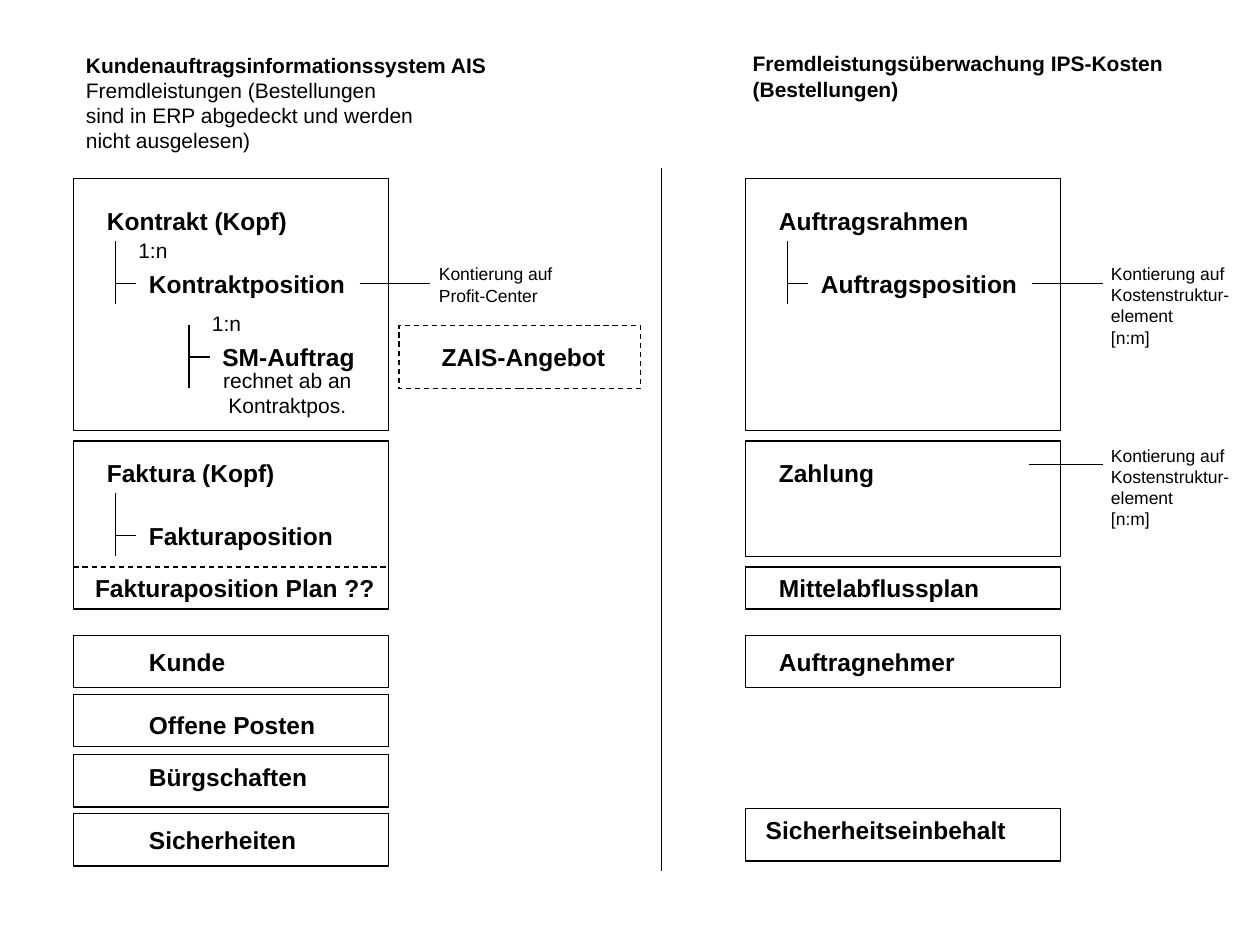
from dataclasses import dataclass

from pptx import Presentation
from pptx.dml.color import RGBColor
from pptx.enum.dml import MSO_LINE_DASH_STYLE as Dash
from pptx.enum.shapes import MSO_CONNECTOR as Connector, MSO_SHAPE as Shape
from pptx.enum.text import MSO_AUTO_SIZE as AutoSize, PP_ALIGN as Align
from pptx.oxml.ns import qn
from pptx.util import Emu, Pt
from lxml.etree import SubElement


@dataclass(frozen=True)
class Theme:
    font: str = "Arial"
    ink: RGBColor = RGBColor(0, 0, 0)
    paper: RGBColor = RGBColor(255, 255, 255)
    label: int = 14
    body: int = 12
    note: int = 10
    line: float = 0.75


theme = Theme()
PX = 914400 // 96
LEFT, RIGHT = 56, 568
FRAME_WIDTH, LABEL_HEIGHT = 240, 32

deck = Presentation()
deck.slide_width, deck.slide_height = Emu(960 * PX), Emu(720 * PX)
page = deck.slides.add_slide(deck.slide_layouts[6])


def add_text(left, top, width, height, paragraphs, size, bold=False, align=Align.LEFT):
    """Each paragraph is a list of lines; bold may be given per paragraph."""
    box = page.shapes.add_textbox(*(Emu(n * PX) for n in (left, top, width, height)))
    frame = box.text_frame
    frame.word_wrap = False
    frame.auto_size = AutoSize.SHAPE_TO_FIT_TEXT
    for index, lines in enumerate(paragraphs):
        para = frame.add_paragraph() if index else frame.paragraphs[0]
        para.alignment = align
        for number, line in enumerate(lines):
            if number:
                para.add_line_break()
            span = para.add_run()
            span.text = line
            span.font.name, span.font.size = theme.font, Pt(size)
            span.font.bold = bold[index] if isinstance(bold, list) else bold
            span.font.color.rgb = theme.ink
    return box


def add_line(x1, y1, x2, y2, dash=None):
    line = page.shapes.add_connector(
        Connector.STRAIGHT, *(Emu(n * PX) for n in (x1, y1, x2, y2)))
    line.line.color.rgb = theme.ink
    line.line.width = Pt(theme.line)
    if dash:
        line.line.dash_style = dash
    SubElement(line._element.spPr, qn("a:effectLst"))
    return line


# Frames: left, top, width, height, dash
frames = [
    (LEFT, 136, FRAME_WIDTH, 192, None),
    (LEFT, 336, FRAME_WIDTH, 128, None),
    (RIGHT, 136, FRAME_WIDTH, 192, None),
    (RIGHT, 336, FRAME_WIDTH, 88, None),
    (RIGHT, 432, FRAME_WIDTH, 32, None),
    (RIGHT, 484, FRAME_WIDTH, 40, None),
    (RIGHT, 616, FRAME_WIDTH, 40, None),
    (304, 248, 184, 48, Dash.DASH),
]
frames += [(LEFT, 484 + round(row * 136 / 3), FRAME_WIDTH, 40, None) for row in range(4)]
for left, top, width, height, dash in frames:
    frame = page.shapes.add_shape(
        Shape.RECTANGLE, *(Emu(n * PX) for n in (left, top, width, height)))
    frame.shadow.inherit = False
    frame.fill.solid()
    frame.fill.fore_color.rgb = theme.paper
    frame.line.color.rgb = theme.ink
    frame.line.width = Pt(theme.line)
    if dash:
        frame.line.dash_style = dash

# Bold labels: text, left, top, width
labels = {}
for text, left, top, width in [
    ("Kontrakt (Kopf)", 72, 152, 159),
    ("Kontraktposition", 104, 200, 170),
    ("SM-Auftrag", 160, 256, 122),
    ("ZAIS-Angebot", 327, 256, 146),
    ("Faktura (Kopf)", 72, 344, 149),
    ("Fakturaposition", 104, 392, 162),
    ("Fakturaposition Plan ??", 63, 432, 235),
    ("Kunde", 104, 488, 79),
    ("Offene Posten", 104, 536, 148),
    ("Bürgschaften", 104, 576, 142),
    ("Sicherheiten", 104, 624, 134),
    ("Auftragsrahmen", 584, 152, 166),
    ("Auftragsposition", 616, 200, 170),
    ("Zahlung", 584, 344, 95),
    ("Mittelabflussplan", 584, 432, 174),
    ("Auftragnehmer", 584, 488, 156),
    ("Sicherheitseinbehalt", 574, 616, 204),
]:
    labels[text] = add_text(left, top, width, LABEL_HEIGHT, [[text]], theme.label, True)

# Tree branches: a stem and a stub that joins the child label
for child, x, top, stub_y in [
    ("Kontraktposition", 88, 184, 216),
    ("SM-Auftrag", 144, 248, 272),
    ("Fakturaposition", 88, 376, 408),
    ("Auftragsposition", 600, 184, 216),
]:
    add_line(x, top, x, top + 48)
    add_line(x, stub_y, x + 16, stub_y).end_connect(labels[child], 1)

# Lines to the account assignment notes
for parent, x in [("Kontraktposition", 272), ("Auftragsposition", 784)]:
    add_line(x, 216, x + 56, 216).begin_connect(labels[parent], 3)
add_line(784, 354, 840, 354)

# Divider between the systems and the planned-position split
add_line(504, 128, 504, 664)
add_line(LEFT, 432, LEFT + FRAME_WIDTH, 432, Dash.DASH)

# Account assignment notes
add_text(325, 196, 108, 42, [["Kontierung auf", "Profit-Center"]], theme.note)
for top in (196, 334):
    add_text(837, top, 111, 74,
             [["Kontierung auf", "Kostenstruktur-", "element", "[n:m]"]], theme.note)

# Cardinalities and settlement remark
for left, top in [(96, 176), (152, 232)]:
    add_text(left, top, 43, 29, [["1:n"]], theme.body)
add_text(160, 275, 118, 48, [["rechnet ab an", "Kontraktpos."]], theme.body,
         align=Align.CENTER)

# Column headings
add_text(56, 35, 326, 86, [
    ["Kundenauftragsinformationssystem AIS"],
    ["Fremdleistungen (Bestellungen"],
    ["sind in ERP abgedeckt und werden", "nicht ausgelesen)"],
], theme.body, [True, False, False])
add_text(564, 34, 334, 67,
         [["Fremdleistungsüberwachung IPS-Kosten", "(Bestellungen)"]], theme.body, True)

deck.save("out.pptx")
